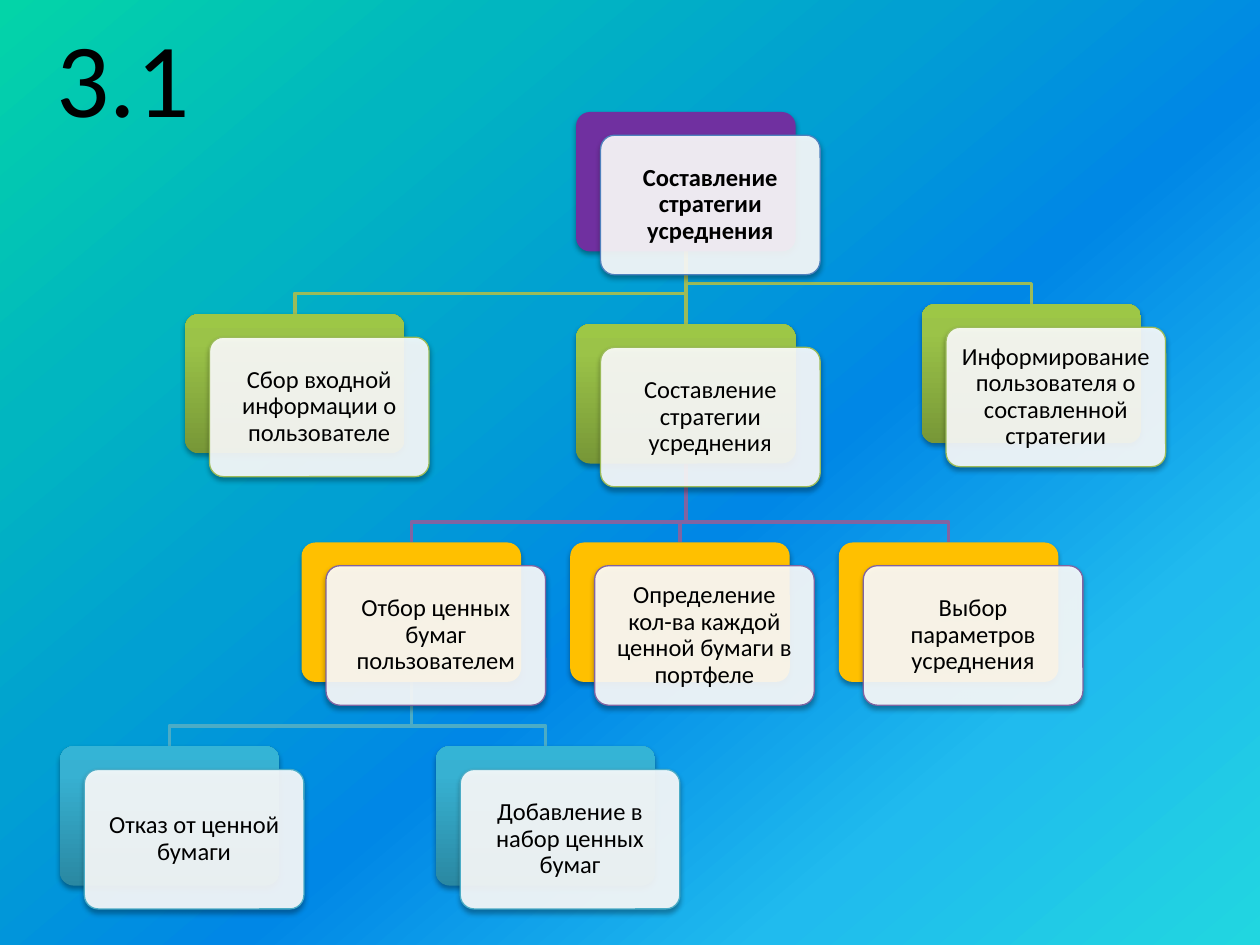
from dataclasses import dataclass

import lxml.etree
import pptx
import pptx.dml.color
import pptx.enum.dml
import pptx.enum.shapes
import pptx.enum.text
import pptx.oxml.ns
import pptx.util

Pt = pptx.util.Pt
qn = pptx.oxml.ns.qn
RGB = pptx.dml.color.RGBColor.from_string


@dataclass(frozen=True)
class Theme:
    font: str = "Calibri"
    title_size: float = 60
    node_size: float = 14
    text: str = "000000"
    card: str = "FFFFFF"
    background: tuple = ((0, "03D4A8"), (22, "01B6C0"), (39, "01A0D2"), (57, "0087E6"),
                         (79, "20BBEE"), (100, "21D6E0"), (100, "01ADC7"), (100, "005CBF"))
    purple: tuple = ((0, "7030A0"),)
    green: tuple = ((0, "779737"), (80, "9BC348"), (100, "9DC746"))
    orange: tuple = ((0, "FFC000"),)
    teal: tuple = ((0, "2A88A2"), (80, "37B1D2"), (100, "34B4D6"))
    root_line: str = "4F81BD"
    step_line: str = "9BBB59"
    detail_line: str = "8064A2"
    outcome_line: str = "4BACC6"


theme = Theme()


def paint(element, fill, stops, angle):
    """Fill with one colour, or with a gradient when there are several stops."""
    if len(stops) == 1:
        fill.solid()
        fill.fore_color.rgb = RGB(stops[0][1])
        return
    fill.gradient()
    fill.gradient_angle = angle
    stop_list = next(element.iter(qn("a:gsLst")))
    for stop in list(stop_list):
        stop_list.remove(stop)
    for percent, color in stops:
        stop = lxml.etree.SubElement(stop_list, qn("a:gs"), pos=str(percent * 1000))
        lxml.etree.SubElement(stop, qn("a:srgbClr"), val=color)


def add_box(shapes, left, top):
    """Add a rounded box with a soft shadow beneath it."""
    box = shapes.add_shape(pptx.enum.shapes.MSO_SHAPE.ROUNDED_RECTANGLE,
                           Pt(left), Pt(top), Pt(BOX_WIDTH), Pt(BOX_HEIGHT))
    box.adjustments[0] = 0.1
    box.shadow.inherit = False
    effects = next(box.element.iter(qn("a:effectLst")))
    shadow = lxml.etree.SubElement(effects, qn("a:outerShdw"), blurRad=str(Pt(3.1)),
                                   dist=str(Pt(1.8)), dir="5400000", rotWithShape="0")
    color = lxml.etree.SubElement(shadow, qn("a:srgbClr"), val="000000")
    lxml.etree.SubElement(color, qn("a:alpha"), val="35000")
    return box


BOX_WIDTH, BOX_HEIGHT = 125.5, 79.7
CARD_RIGHT, CARD_DOWN = 14, 13.3
BEND_ABOVE_CHILD = 11.7
MIDDLE = 329.2
DETAIL_LEFT, DETAIL_TOP, DETAIL_STEP = 172.3, 310, 153.5
OUTCOME_TOP = 426.4

presentation = pptx.Presentation()
presentation.slide_width, presentation.slide_height = Pt(720), Pt(540)
slide = presentation.slides.add_slide(presentation.slide_layouts[6])
shapes = slide.shapes
paint(slide.element, slide.background.fill, theme.background, 310)

# key: (parent, left, top, back fill, line, text)
step = (theme.green, theme.step_line)
detail = (theme.orange, theme.detail_line)
outcome = (theme.teal, theme.outcome_line)
nodes = {
    "strategy": (None, MIDDLE, 64, theme.purple, theme.root_line,
                 "Составление стратегии усреднения"),
    "collect": ("strategy", 105.7, 179.4, *step, "Сбор входной информации о пользователе"),
    "compose": ("strategy", MIDDLE, 185.2, *step, "Составление стратегии усреднения"),
    "select": ("compose", DETAIL_LEFT, DETAIL_TOP, *detail,
               "Отбор ценных бумаг пользователем"),
    "reject": ("select", 34.2, OUTCOME_TOP, *outcome, "Отказ от ценной бумаги"),
    "add": ("select", 249, OUTCOME_TOP, *outcome, "Добавление в набор ценных бумаг"),
    "quantity": ("compose", DETAIL_LEFT + DETAIL_STEP, DETAIL_TOP, *detail,
                 "Определение кол-ва каждой ценной бумаги в портфеле"),
    "parameters": ("compose", DETAIL_LEFT + 2 * DETAIL_STEP, DETAIL_TOP, *detail,
                   "Выбор параметров усреднения"),
    "inform": ("strategy", 526.6, 173.7, *step,
               "Информирование пользователя о составленной стратегии"),
}

# Boxes: a coloured back and a translucent card with the text
backs = {}
for key, (parent, left, top, stops, line_color, text) in nodes.items():
    back = backs[key] = add_box(shapes, left, top)
    paint(back.element, back.fill, stops, 90)
    back.line.fill.background()

    card = add_box(shapes, left + CARD_RIGHT, top + CARD_DOWN)
    card.fill.solid()
    card.fill.fore_color.rgb = RGB(theme.card)
    card_color = card.element.spPr.find(qn("a:solidFill")).find(qn("a:srgbClr"))
    lxml.etree.SubElement(card_color, qn("a:alpha"), val="90000")
    card.line.color.rgb = RGB(line_color)
    card.line.width = Pt(0.75)

    frame = card.text_frame
    frame.word_wrap = True
    frame.vertical_anchor = pptx.enum.text.MSO_ANCHOR.MIDDLE
    frame.margin_left = frame.margin_right = Pt(6.5)
    frame.margin_top = frame.margin_bottom = Pt(6.5)
    paragraph = frame.paragraphs[0]
    paragraph.alignment = pptx.enum.text.PP_ALIGN.CENTER
    paragraph.line_spacing = 0.9
    run = paragraph.add_run()
    run.text = text
    run.font.name = theme.font
    run.font.size = Pt(theme.node_size)
    run.font.bold = parent is None
    run.font.color.rgb = RGB(theme.text)

# Links from the parent's bottom to the child's top, behind all boxes
for key, (parent, left, top, stops, line_color, text) in nodes.items():
    if parent is None:
        continue
    parent_left, parent_top = nodes[parent][1:3]
    if left == parent_left:
        link = shapes.add_connector(pptx.enum.shapes.MSO_CONNECTOR.STRAIGHT, 0, 0, 0, 0)
        link.begin_connect(backs[parent], 2)
        link.end_connect(backs[key], 0)
        lxml.etree.SubElement(link.element.spPr, qn("a:effectLst"))
    else:
        start_x, end_x = parent_left + BOX_WIDTH / 2, left + BOX_WIDTH / 2
        bend = top - BEND_ABOVE_CHILD
        builder = shapes.build_freeform(Pt(start_x), Pt(parent_top + BOX_HEIGHT))
        builder.add_line_segments([(Pt(start_x), Pt(bend)), (Pt(end_x), Pt(bend)),
                                   (Pt(end_x), Pt(top))], close=False)
        link = builder.convert_to_shape()
        link.fill.background()
        link.shadow.inherit = False
    link.line.color.rgb = RGB(line_color)
    link.line.width = Pt(2)
    shapes.element.insert(2, link.element)

title = shapes.add_textbox(Pt(25.2), Pt(3.6), Pt(90.7), Pt(80))
title.text_frame.word_wrap = True
run = title.text_frame.paragraphs[0].add_run()
run.text = "3.1"
run.font.name = theme.font
run.font.size = Pt(theme.title_size)
run.font.color.rgb = RGB(theme.text)

presentation.save("out.pptx")
